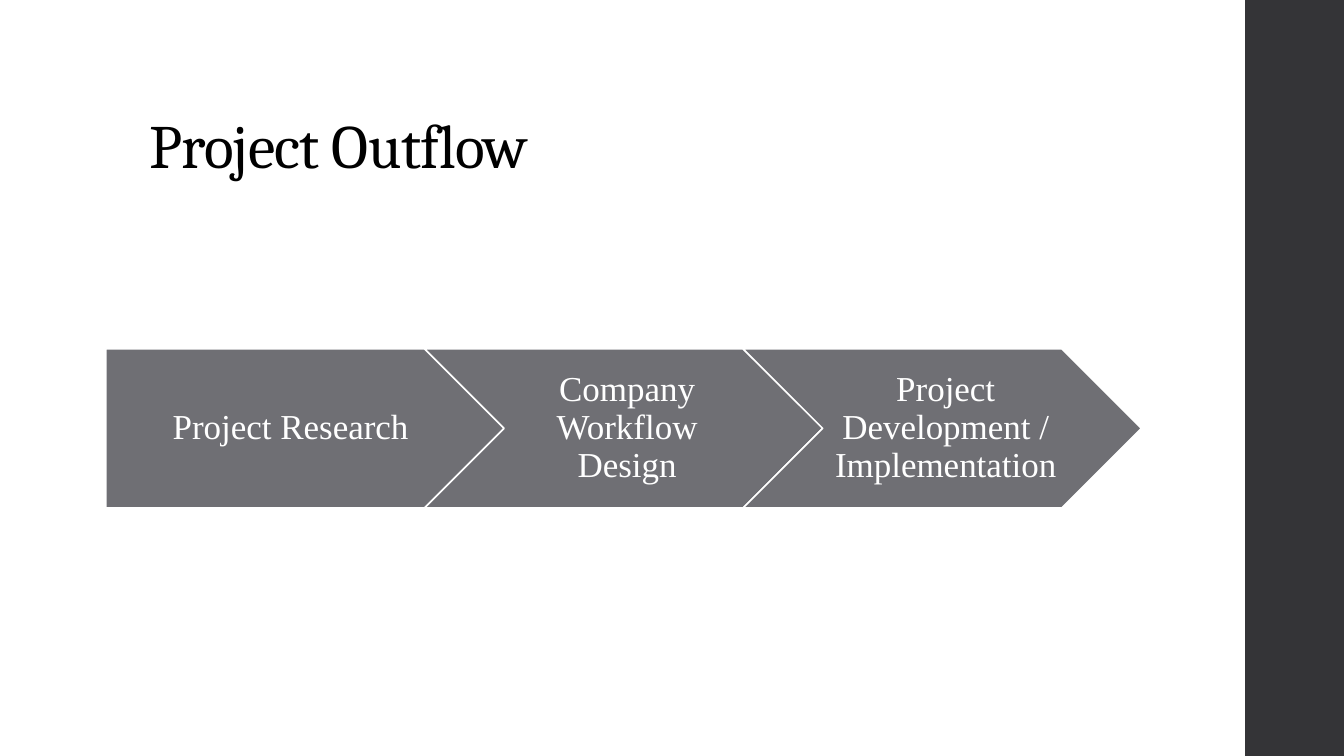
from dataclasses import dataclass

from pptx import Presentation
from pptx.dml.color import RGBColor
from pptx.enum.shapes import MSO_SHAPE as Shape
from pptx.enum.text import MSO_ANCHOR as Anchor, PP_ALIGN as Align
from pptx.slide import Slide
from pptx.text.text import TextFrame
from pptx.util import Inches, Pt

COLORS = {"sidebar": "343437", "step": "6F6F74", "white": "FFFFFF", "title": "000000"}
STEP_LEFT, STEP_TOP, STEP_WIDTH, STEP_HEIGHT = 1.05, 3.46, 3.95, 1.58
STEP_PITCH = STEP_WIDTH - STEP_HEIGHT / 2  # each point nests in the next notch


@dataclass
class Step:
    text: str
    shape: Shape = Shape.CHEVRON
    left_inset: float = 0.11


STEPS = [
    Step("Project Research", Shape.PENTAGON, 0.15),
    Step("Company Workflow Design"),
    Step("Project Development / Implementation"),
]


def rgb(name: str) -> RGBColor:
    return RGBColor.from_string(COLORS[name])


def write(tf: TextFrame, text: str, font: str, size: float, color: str, align: Align) -> None:
    tf.word_wrap = True
    p = tf.paragraphs[0]
    p.alignment = align
    p.line_spacing = 0.9
    r = p.add_run()
    r.text = text
    r.font.name = font
    r.font.size = Pt(size)
    r.font.color.rgb = rgb(color)


def add_sidebar(s: Slide) -> None:
    bar = s.shapes.add_shape(Shape.RECTANGLE, Inches(12.35), 0, Inches(0.98), Inches(7.5))
    bar.shadow.inherit = False
    bar.fill.solid()
    bar.fill.fore_color.rgb = rgb("sidebar")
    bar.line.fill.background()


def add_title(s: Slide, text: str) -> None:
    title = s.shapes.title
    title.left, title.top = Inches(1.38), Inches(0.4)
    title.width, title.height = Inches(10.6), Inches(1.45)
    title.text_frame.vertical_anchor = Anchor.BOTTOM
    write(title.text_frame, text, "Cambria", 44, "title", Align.LEFT)
    title.text_frame.paragraphs[0].runs[0].font._element.set("spc", "-50")


def add_step(s: Slide, index: int, step: Step) -> None:
    left = STEP_LEFT + index * STEP_PITCH
    sp = s.shapes.add_shape(step.shape, Inches(left), Inches(STEP_TOP),
                            Inches(STEP_WIDTH), Inches(STEP_HEIGHT))
    sp.adjustments[0] = 0.5
    sp.shadow.inherit = False
    sp.fill.solid()
    sp.fill.fore_color.rgb = rgb("step")
    sp.line.color.rgb = rgb("white")
    sp.line.width = Pt(1.1)
    tf = sp.text_frame
    tf.vertical_anchor = Anchor.MIDDLE
    tf.margin_left, tf.margin_right = Inches(step.left_inset), Inches(0.04)
    tf.margin_top = tf.margin_bottom = Inches(0.07)
    write(tf, step.text, "Times New Roman", 25, "white", Align.CENTER)


def main() -> None:
    prs = Presentation()
    prs.slide_width, prs.slide_height = Inches(13.33), Inches(7.5)
    s = prs.slides.add_slide(prs.slide_layouts[5])

    # Sidebar and title
    add_sidebar(s)
    add_title(s, "Project Outflow")

    # Process arrows
    for index, step in enumerate(STEPS):
        add_step(s, index, step)

    prs.save("out.pptx")


if __name__ == "__main__":
    main()
